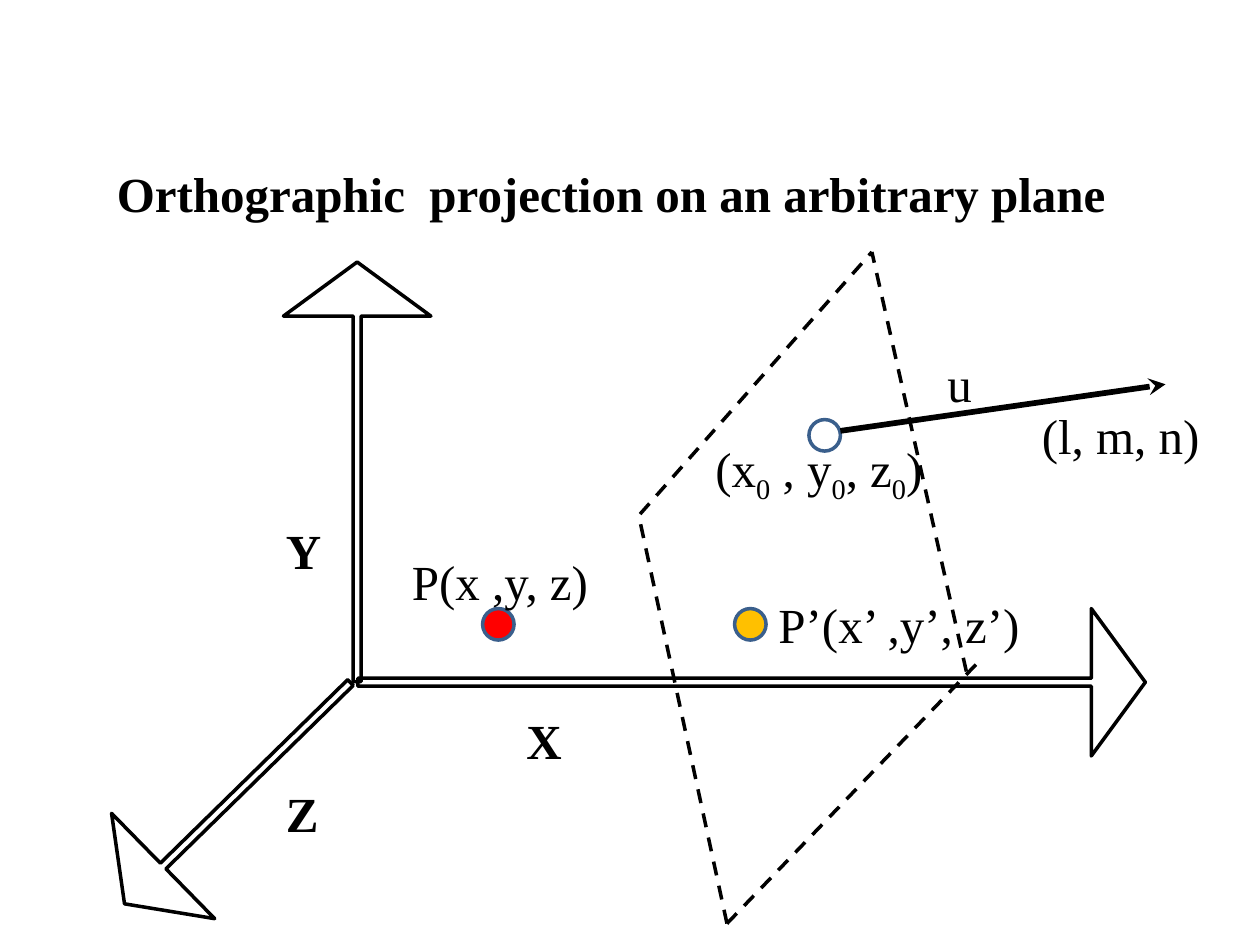
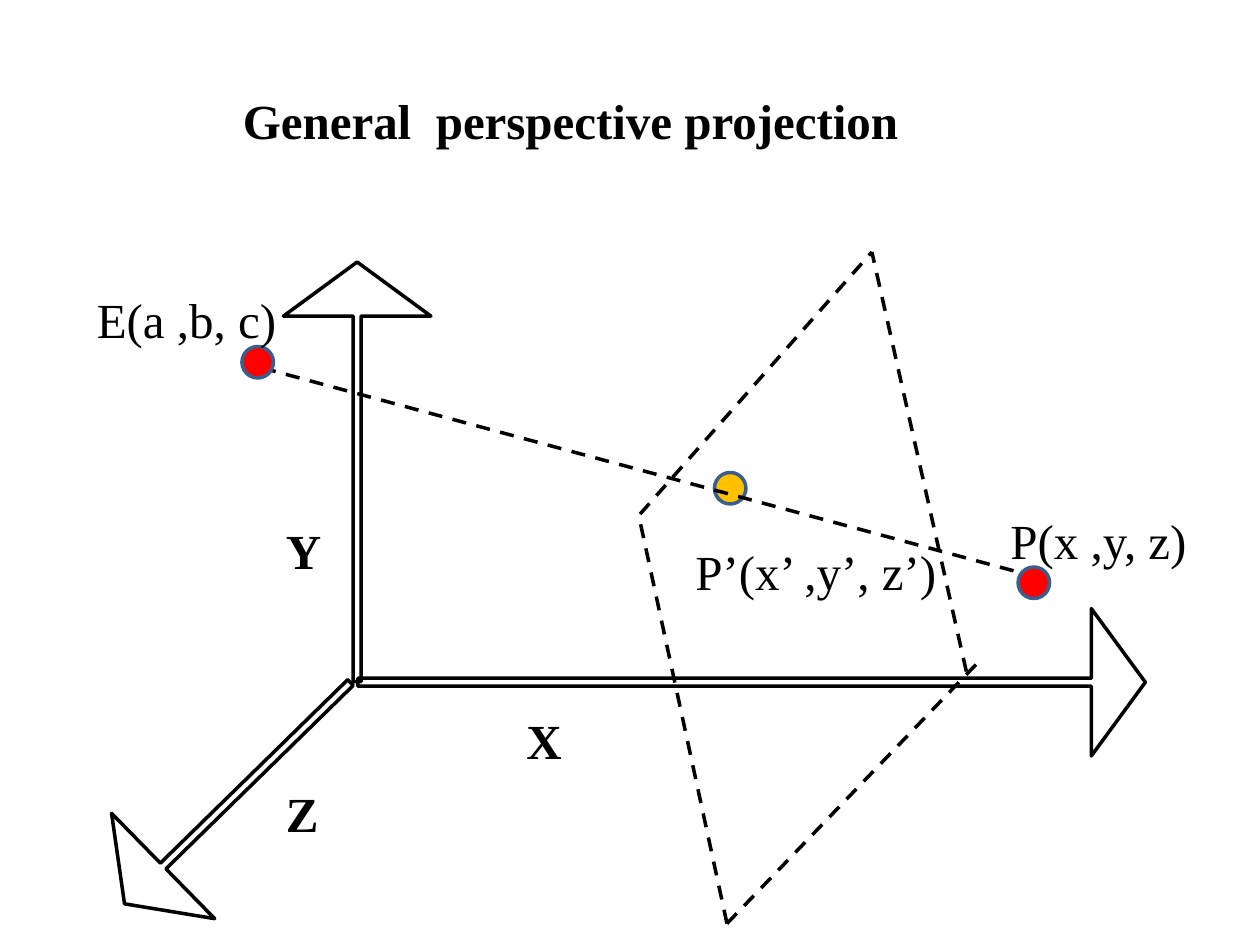
from lxml import etree
from pptx import Presentation
from pptx.dml.color import RGBColor
from pptx.enum.dml import MSO_LINE
from pptx.enum.shapes import MSO_CONNECTOR, MSO_SHAPE
from pptx.enum.text import MSO_AUTO_SIZE
from pptx.oxml.ns import qn
from pptx.util import Inches, Pt

UP_ARROW = MSO_SHAPE.UP_ARROW
OVAL = MSO_SHAPE.OVAL
STRAIGHT = MSO_CONNECTOR.STRAIGHT
DASH = MSO_LINE.DASH
GROW = MSO_AUTO_SIZE.SHAPE_TO_FIT_TEXT

BLACK = RGBColor(0x00, 0x00, 0x00)
RED = RGBColor(0xFF, 0x00, 0x00)
AMBER = RGBColor(0xFF, 0xC0, 0x00)
DOT_OUTLINE = RGBColor(0x3A, 0x5F, 0x8C)

LABEL_FONT = {"name": "Times New Roman", "size": Pt(28)}
FRAME_FORMAT = {"word_wrap": True, "auto_size": GROW}
LABEL_HEIGHT = 0.57
DOT_SIZE = 0.25
OUTLINE_WIDTH = 2

AXIS_ARROWS = [
    (2.25, 2.08, 1.17, 3.33, 0),
    (5.38, 2.29, 1.17, 6.25, 90),
    (1.3, 5.04, 1.17, 2.51, 225.6),
]
AXIS_LABELS = [("X", 4.08, 5.59), ("Y", 2.17, 4.08), ("Z", 2.17, 6.17)]
PLANE_EDGES = [
    ((5.08, 4.08), (6.92, 2)),
    ((5.77, 7.33), (7.75, 5.27)),
    ((7.67, 5.33), (6.92, 2)),
    ((5.77, 7.33), (5.08, 4.14)),
]

DIAGRAMS = [
    {
        "title": ("Orthographic  projection on an arbitrary plane", 0.83, 1.25, 8.17),
        "rays": [],
        "normals": [((6.67, 3.42), (9.25, 3.05))],
        "points_behind": [(3.83, 4.83, RED), (5.83, 4.83, AMBER)],
        "points_in_front": [(6.42, 3.33, None)],
        "labels": [
            ("P’(x’ ,y’, z’)", 6.08, 4.67, 2.25),
            ("P(x ,y, z)", 3.17, 4.33, 1.75),
            ("(x|0| , y|0|, z|0|)", 5.58, 3.43, 2.25),
            ("u", 7.42, 2.76, 0.5),
            ("(l, m, n)", 8.17, 3.17, 1.58),
        ],
    },
    {
        "title": ("General  perspective projection", 1.83, 0.67, 5.67),
        "rays": [((2.08, 2.92), (8.08, 4.54))],
        "normals": [],
        "points_behind": [(8.08, 4.5, RED), (5.67, 3.75, AMBER)],
        "points_in_front": [(1.92, 2.75, RED)],
        "labels": [
            ("P’(x’ ,y’, z’)", 5.42, 4.25, 2.25),
            ("P(x ,y, z)", 7.92, 4, 1.75),
            ("E(a ,b, c)", 0.67, 2.25, 1.75),
        ],
    },
]


def add_label(slide, text, left, top, width, bold=False):
    box = slide.shapes.add_textbox(
        Inches(left), Inches(top), Inches(width), Inches(LABEL_HEIGHT))
    for name, value in FRAME_FORMAT.items():
        setattr(box.text_frame, name, value)
    paragraph = box.text_frame.paragraphs[0]
    for index, part in enumerate(text.split("|")):
        run = paragraph.add_run()
        run.text = part
        for name, value in LABEL_FONT.items():
            setattr(run.font, name, value)
        run.font.bold = bold
        run.font.color.rgb = BLACK
        if index % 2:
            run._r.get_or_add_rPr().set("baseline", "-25000")


def add_line(slide, start, end, width=OUTLINE_WIDTH):
    connector = slide.shapes.add_connector(
        STRAIGHT, *[Inches(value) for value in start + end])
    connector.line.color.rgb = BLACK
    connector.line.width = Pt(width)
    etree.SubElement(connector._element.spPr, qn("a:effectLst"))
    return connector


presentation = Presentation()
presentation.slide_width = Inches(10)
presentation.slide_height = Inches(7.5)
blank_layout = presentation.slide_layouts[6]

for diagram in DIAGRAMS:
    slide = presentation.slides.add_slide(blank_layout)
    add_label(slide, *diagram["title"], bold=True)

    for left, top, width, height, rotation in AXIS_ARROWS:
        arrow = slide.shapes.add_shape(
            UP_ARROW, Inches(left), Inches(top), Inches(width), Inches(height))
        arrow.adjustments[0] = 0.054
        arrow.adjustments[1] = 0.367
        arrow.rotation = rotation
        arrow.shadow.inherit = False
        arrow.fill.background()
        arrow.line.color.rgb = BLACK
        arrow.line.width = Pt(OUTLINE_WIDTH)

    for text, left, top in AXIS_LABELS:
        add_label(slide, text, left, top, 0.5, bold=True)

    for layer in ("points_behind", "points_in_front"):
        for left, top, color in diagram[layer]:
            dot = slide.shapes.add_shape(
                OVAL, Inches(left), Inches(top), Inches(DOT_SIZE), Inches(DOT_SIZE))
            dot.shadow.inherit = False
            dot.line.color.rgb = DOT_OUTLINE
            dot.line.width = Pt(OUTLINE_WIDTH)
            if color is None:
                dot.fill.background()
            else:
                dot.fill.solid()
                dot.fill.fore_color.rgb = color
        if layer == "points_behind":
            for start, end in PLANE_EDGES + diagram["rays"]:
                add_line(slide, start, end).line.dash_style = DASH

    for start, end in diagram["normals"]:
        normal = add_line(slide, start, end, 3.25)
        etree.SubElement(normal.line._get_or_add_ln(), qn("a:tailEnd"), type="stealth")

    for label in diagram["labels"]:
        add_label(slide, *label)

presentation.save("out.pptx")
